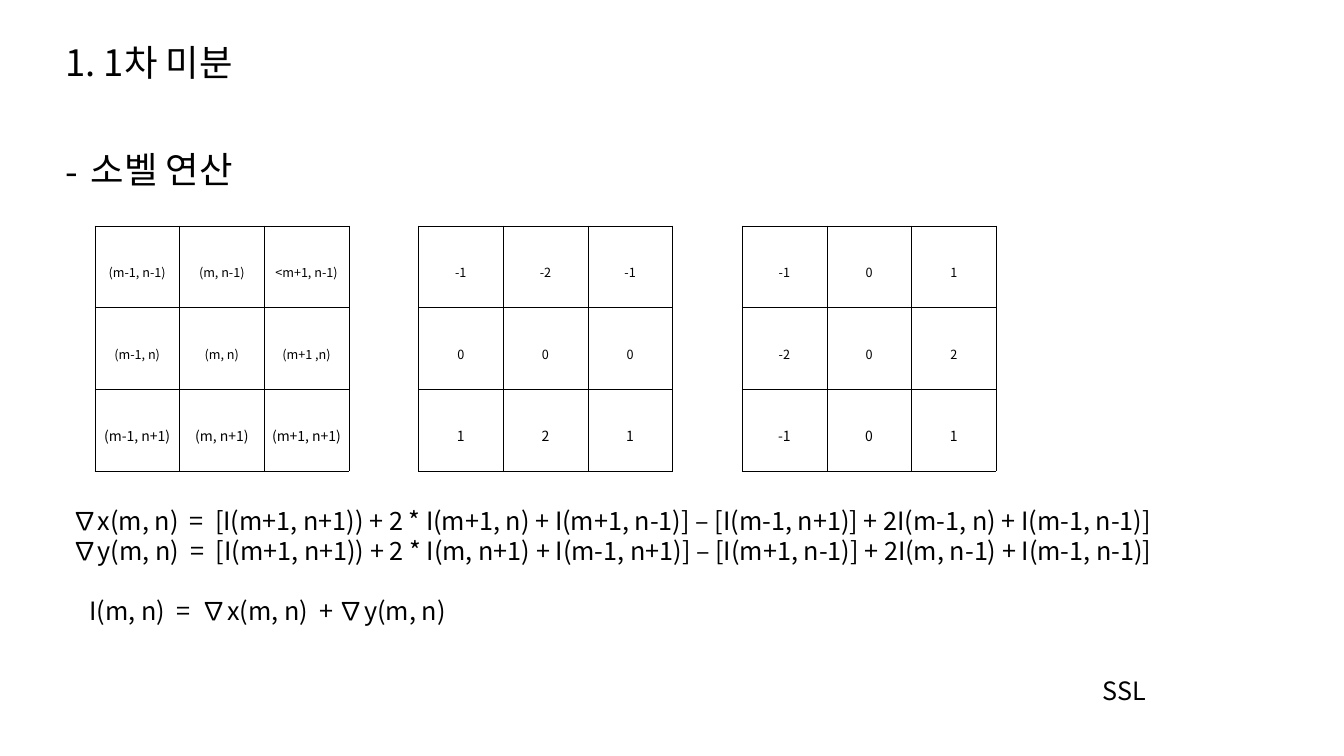
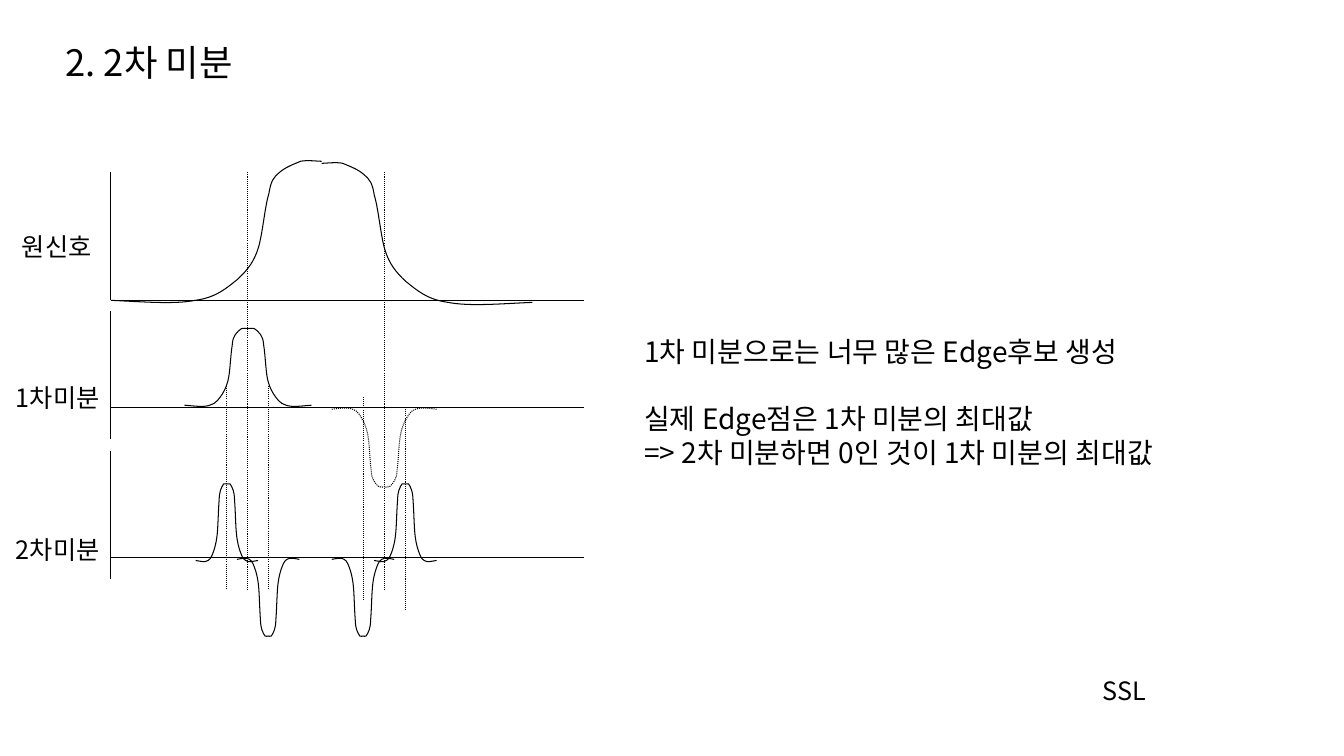
from lxml import etree
from pptx import Presentation
from pptx import util as u
from pptx.dml.color import RGBColor
from pptx.enum import dml, shapes, text
from pptx.oxml.ns import qn

COLORS = {"ink": "000000", "paper": "FFFFFF"}
FONT = "Noto Sans CJK KR"
DOTTED = dml.MSO_LINE.ROUND_DOT

# Cubic Bezier from the foot (0, 0) to the peak (1, 1) of a half bell:
# a start point, then three points for each segment.
HALF_BELL = [
    (0, 0),
    (0.15, -0.01), (0.3, -0.03), (0.4, 0),
    (0.5, 0.02), (0.55, 0.09), (0.6, 0.15),
    (0.65, 0.22), (0.68, 0.28), (0.7, 0.38),
    (0.72, 0.48), (0.73, 0.67), (0.75, 0.77),
    (0.76, 0.86), (0.77, 0.88), (0.8, 0.92),
    (0.83, 0.96), (0.87, 0.98), (0.9, 1),
    (0.93, 1.01), (0.98, 1), (1, 1),
]

NEIGHBOURS = [
    ["(m-1, n-1)", "(m, n-1)", "<m+1, n-1)"],
    ["(m-1, n)", "(m, n)", "(m+1 ,n)"],
    ["(m-1, n+1)", "(m, n+1)", "(m+1, n+1)"],
]
SOBEL_Y = [[-1, -2, -1], [0, 0, 0], [1, 2, 1]]
SOBEL_X = [[-1, 0, 1], [-2, 0, 2], [-1, 0, 1]]


def rgb(name):
    return RGBColor.from_string(COLORS[name])


def style_paragraph(para, size, spacing=None, before=0):
    para.font.size = u.Pt(size)
    para.font.name = FONT
    para.font.color.rgb = rgb("ink")
    if spacing:
        para.line_spacing = spacing
    if before:
        para.space_before = u.Pt(before)


def indent(para, margin, first=0, bullet=None):
    properties = para._p.get_or_add_pPr()
    properties.set("marL", str(u.Inches(margin)))
    properties.set("indent", str(u.Inches(first)))
    if bullet:
        defaults = properties.find(qn("a:defRPr"))
        defaults.addprevious(etree.Element(qn("a:buFont"), typeface=FONT))
        defaults.addprevious(etree.Element(qn("a:buChar"), char=bullet))


def add_text(page, left, top, width, height, lines, size, spacing=None, wrap=True):
    """Add a text box; lines are (wording, space before in points) pairs."""
    box = page.shapes.add_textbox(*map(u.Inches, (left, top, width, height)))
    frame = box.text_frame
    frame.word_wrap = wrap
    for index, (wording, before) in enumerate(lines):
        para = frame.paragraphs[0] if index == 0 else frame.add_paragraph()
        para.text = wording
        style_paragraph(para, size, spacing, before)
    return box


def set_up_master(deck, page):
    """Give all pages a plain background and the footer, drafted on one page."""
    master = deck.slide_master
    master.background.fill.solid()
    master.background.fill.fore_color.rgb = rgb("paper")
    footer = add_text(page, 10.84, 6.65, 0.74, 0.4, [("SSL", 0)], 18, wrap=False)
    master.shapes._spTree.append(footer._element)


def add_page(deck, title, subtitle=None):
    page = deck.slides.add_slide(deck.slide_layouts[6])
    lines = [(title, 10)]
    if subtitle:
        lines.append((subtitle, 48))
    heading = add_text(page, 0.55, 0.4, 11.5, 0.56, lines, 26, spacing=0.9)
    if subtitle:
        indent(heading.text_frame.paragraphs[1], 0.25, -0.25, bullet="-")
    return page


def add_borders(cell):
    properties = cell._tc.get_or_add_tcPr()
    for index, side in enumerate(("a:lnL", "a:lnR", "a:lnT", "a:lnB")):
        border = etree.Element(qn(side), w=str(u.Pt(0.28)))
        fill = etree.SubElement(border, qn("a:solidFill"))
        etree.SubElement(fill, qn("a:srgbClr"), val=COLORS["ink"])
        properties.insert(index, border)


def add_mask(page, left, values):
    """Add a 3 x 3 table of filter values."""
    column, row_height, top = 0.84, 0.81, 2.24
    count = len(values)
    frame = page.shapes.add_table(count, count, u.Inches(left), u.Inches(top),
                                  u.Inches(count * column), u.Inches(count * row_height))
    table = frame.table
    table.first_row = table.horz_banding = False
    for row, line in enumerate(values):
        size = 10 if row == count - 1 else 9
        for col, value in enumerate(line):
            cell = table.cell(row, col)
            cell.fill.background()
            cell.margin_left = cell.margin_right = u.Inches(0.07)
            cell.margin_top = cell.margin_bottom = u.Inches(0.02)
            cell.vertical_anchor = text.MSO_ANCHOR.MIDDLE
            para = cell.text_frame.paragraphs[0]
            para.text = str(value)
            para.alignment = text.PP_ALIGN.CENTER
            style_paragraph(para, size, spacing=1.6)
            add_borders(cell)


def style_line(line, dash=None):
    line.color.rgb = rgb("ink")
    line.width = u.Pt(0.75)
    if dash:
        line.dash_style = dash


def add_line(page, x1, y1, x2, y2, dash=None):
    line = page.shapes.add_connector(shapes.MSO_CONNECTOR.STRAIGHT,
                                     *map(u.Inches, (x1, y1, x2, y2)))
    style_line(line.line, dash)
    etree.SubElement(line._element.spPr, qn("a:effectLst"))


def bend_segments(curve):
    """Turn each three line segments of a freeform into one cubic Bezier."""
    segments = list(curve._element.iter(qn("a:lnTo")))
    for start in range(0, len(segments), 3):
        bezier = etree.Element(qn("a:cubicBezTo"))
        segments[start].addprevious(bezier)
        for segment in segments[start:start + 3]:
            bezier.append(segment[0])
            segment.getparent().remove(segment)


def add_half_bell(page, foot, peak, dash=None):
    (foot_x, foot_y), (peak_x, peak_y) = foot, peak
    points = [(u.Inches(foot_x + (peak_x - foot_x) * x),
               u.Inches(foot_y + (peak_y - foot_y) * y))
              for x, y in HALF_BELL]
    builder = page.shapes.build_freeform(*points[0])
    builder.add_line_segments(points[1:], close=False)
    curve = builder.convert_to_shape()
    bend_segments(curve)
    curve.shadow.inherit = False
    curve.fill.background()
    style_line(curve.line, dash)


def add_bell(page, center, half_width, foot_y, peak_y, dash=None):
    for side in (-1, 1):
        add_half_bell(page, (center + side * half_width, foot_y), (center, peak_y), dash)


def add_sobel_page(deck):
    page = add_page(deck, "1. 1차 미분", "소벨 연산")
    for index, values in enumerate((NEIGHBOURS, SOBEL_Y, SOBEL_X)):
        add_mask(page, 0.94 + 3.21 * index, values)
    formulas = add_text(page, 0.62, 4.96, 11.78, 1.31, [
        ("∇x(m, n)  =  [I(m+1, n+1)) + 2 * I(m+1, n) + I(m+1, n-1)]"
         " – [I(m-1, n+1)] + 2I(m-1, n) + I(m-1, n-1)]", 0),
        ("∇y(m, n)  =  [I(m+1, n+1)) + 2 * I(m, n+1) + I(m-1, n+1)]"
         " – [I(m+1, n-1)] + 2I(m, n-1) + I(m-1, n-1)]", 0),
        ("I(m, n)  =  ∇x(m, n)  + ∇y(m, n)", 21.5),
    ], 18)
    indent(formulas.text_frame.paragraphs[2], 0.17)
    return page


def add_signal_plots(page):
    axis_x, axis_end = 1.1, 5.79
    for index, baseline in enumerate((2.98, 4.04, 5.53)):
        top = 1.71 + 1.38 * index
        add_line(page, axis_x, top, axis_x, top + 1.27)
        add_line(page, axis_x, baseline, axis_end, baseline)

    for x, top, bottom in ((2.45, 1.71, 5.85), (3.81, 1.71, 5.85),
                           (2.25, 3.83, 5.85), (2.66, 3.83, 5.85),
                           (3.61, 3.94, 5.95), (4.02, 4.04, 6.06)):
        add_line(page, x, top, x, bottom, DOTTED)

    add_half_bell(page, (1.1, 2.98), (3.19, 1.6))
    add_half_bell(page, (5.28, 3), (3.19, 1.62))
    add_bell(page, 2.46, 0.63, 4.02, 3.26)
    add_bell(page, 3.81, 0.52, 4.06, 4.83, DOTTED)
    for center in (2.25, 4.02):
        add_bell(page, center, 0.31, 5.56, 4.8)
    for center in (2.66, 3.6):
        add_bell(page, center, 0.31, 5.55, 6.31)

    labels = add_text(page, 0.06, 2.25, 1.4, 3.43,
                      [("원신호", 0), ("1차미분", 86.3), ("2차미분", 86.3)], 18)
    indent(labels.text_frame.paragraphs[0], 0.06)


def add_second_derivative_page(deck):
    page = add_page(deck, "2. 2차 미분")
    add_text(page, 6.29, 3.27, 6.8, 1.78, [
        ("1차 미분으로는 너무 많은 Edge후보 생성", 0),
        ("실제 Edge점은 1차 미분의 최대값", 24),
        ("=> 2차 미분하면 0인 것이 1차 미분의 최대값", 0),
    ], 20)
    add_signal_plots(page)


def main():
    deck = Presentation()
    deck.slide_width, deck.slide_height = u.Inches(13.33), u.Inches(7.5)
    set_up_master(deck, add_sobel_page(deck))
    add_second_derivative_page(deck)
    deck.save("out.pptx")


if __name__ == "__main__":
    main()
